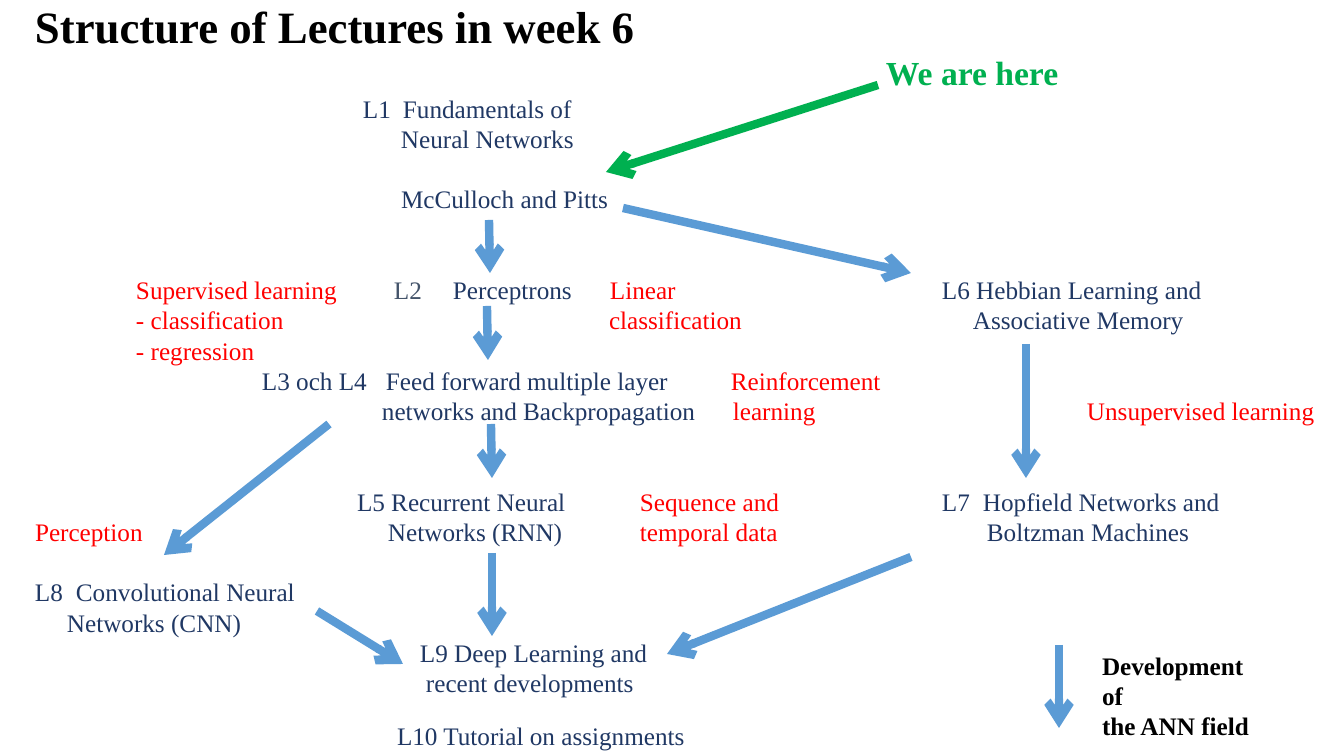
import pptx
import pptx.dml.color
import pptx.enum.shapes
import pptx.enum.text
import pptx.util
from lxml import etree

NAVY, RED, GREY, BLACK = "203864", "FF0000", "44546A", "000000"
GREEN, BLUE = "00B050", "5B9BD5"
FONT = "Times New Roman"

# Headings and notes: top, size, bold, colour, lines
# A line is (x, text) or (x, text, x of the tab)
NOTES = [
    (-1, 32, True, BLACK, [(35, "Structure of Lectures in week 6")]),
    (52, 24, True, GREEN, [(886, "We are here")]),
    (650, 18, True, BLACK, [(1102, "Development of"), (1102, "the ANN field")]),
    (720, 18, False, NAVY, [(397, "L10 Tutorial on assignments")]),
]

# Lectures and themes on the row grid: row, colour, lines
LABELS = [
    (0, NAVY, [(363, "L1\tFundamentals of", 403), (401, "Neural Networks")]),
    (3, NAVY, [(401, "McCulloch and Pitts")]),
    (6, RED, [(136, "Supervised learning"), (136, "- classification"), (136, "- regression")]),
    (6, GREY, [(394, "L2")]),
    (6, NAVY, [(453, "Perceptrons")]),
    (6, RED, [(610, "Linear"), (609, "classification")]),
    (6, NAVY, [(942, "L6 Hebbian Learning and"), (973, "Associative Memory")]),
    (9, NAVY, [(262, "L3 och L4\tFeed forward multiple layer", 386),
               (382, "networks and Backpropagation")]),
    (9, RED, [(731, "Reinforcement"), (733, "learning")]),
    (10, RED, [(1087, "Unsupervised learning")]),
    (13, NAVY, [(357, "L5 Recurrent Neural"), (388, "Networks (RNN)")]),
    (13, RED, [(640, "Sequence and"), (640, "temporal data")]),
    (13, NAVY, [(942, "L7\tHopfield Networks and", 983), (987, "Boltzman Machines")]),
    (14, RED, [(35, "Perception")]),
    (16, NAVY, [(35, "L8\tConvolutional Neural", 76), (67, "Networks (CNN)")]),
    (18, NAVY, [(420, "L9 Deep Learning and"), (426, "recent developments")]),
]

# Arrows: start x, start y, end x, end y, colour
ARROWS = [
    (489, 220, 490, 273, BLUE),
    (329, 424, 164, 555, BLUE),
    (491, 424, 492, 478, BLUE),
    (623, 208, 911, 273, BLUE),
    (487, 306, 488, 360, BLUE),
    (317, 611, 403, 664, BLUE),
    (911, 557, 667, 654, BLUE),
    (492, 553, 492, 636, BLUE),
    (1026, 344, 1026, 478, BLUE),
    (878, 85, 606, 172, GREEN),
    (1059, 645, 1059, 728, BLUE),
]

PX_PER_INCH = 100.8
PX_PER_POINT = PX_PER_INCH / 72
LINE_RATIO = 1.2
LETTER_RATIO = 0.62
SPARE_WIDTH = 12
GRID_TOP = 93
ROW_HEIGHT = 18 * LINE_RATIO * PX_PER_POINT


def px(length):
    return pptx.util.Emu(round(length * 914400 / PX_PER_INCH))


def colour(code):
    return pptx.dml.color.RGBColor.from_string(code)


def add_label(page, top, size, bold, code, lines):
    left = min(line[0] for line in lines)
    right = max(line[0] + len(line[1]) * size * LETTER_RATIO for line in lines) + SPARE_WIDTH
    height = len(lines) * size * LINE_RATIO * PX_PER_POINT
    box = page.shapes.add_textbox(px(left), px(top), px(right - left), px(height))
    frame = box.text_frame
    frame.margin_left = frame.margin_right = frame.margin_top = frame.margin_bottom = 0
    frame.word_wrap = False
    frame.text = "\n".join(line[1] for line in lines)
    for para, (x, _, *tab) in zip(frame.paragraphs, lines):
        # Lecture name hangs at the tab, lecture number at x
        margin = tab[0] if tab else x
        properties = para._p.get_or_add_pPr()
        properties.set("marL", str(px(margin - left)))
        properties.set("indent", str(px(x - margin)))
        para.alignment = pptx.enum.text.PP_ALIGN.LEFT
        para.line_spacing = pptx.util.Pt(size * LINE_RATIO)
        for span in para.runs:
            span.font.name = FONT
            span.font.size = pptx.util.Pt(size)
            span.font.bold = bold
            span.font.color.rgb = colour(code)


def add_arrow(page, x1, y1, x2, y2, code):
    arrow = page.shapes.add_connector(
        pptx.enum.shapes.MSO_CONNECTOR.STRAIGHT, px(x1), px(y1), px(x2), px(y2))
    arrow.line.color.rgb = colour(code)
    arrow.line.width = pptx.util.Pt(6)
    qualified = pptx.oxml.ns.qn
    outline = arrow.line._get_or_add_ln()
    etree.SubElement(outline, qualified("a:tailEnd"), type="arrow")
    etree.SubElement(arrow._element.spPr, qualified("a:effectLst"))


def main():
    deck = pptx.Presentation()
    deck.slide_width, deck.slide_height = px(1344), px(756)
    page = deck.slides.add_slide(deck.slide_layouts[6])

    # Text
    for note in NOTES:
        add_label(page, *note)
    for row, code, lines in LABELS:
        add_label(page, GRID_TOP + row * ROW_HEIGHT, 18, False, code, lines)

    # Arrows
    for arrow in ARROWS:
        add_arrow(page, *arrow)

    deck.save("out.pptx")


if __name__ == "__main__":
    main()
